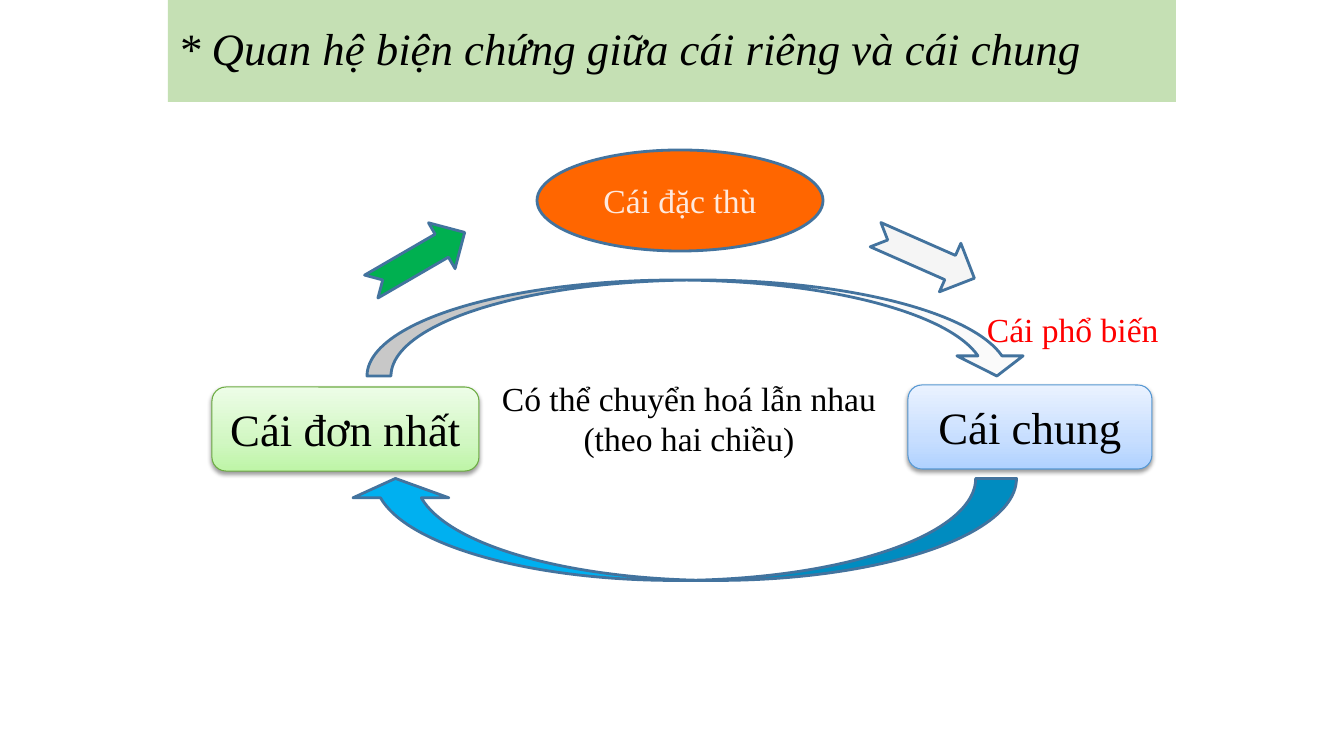
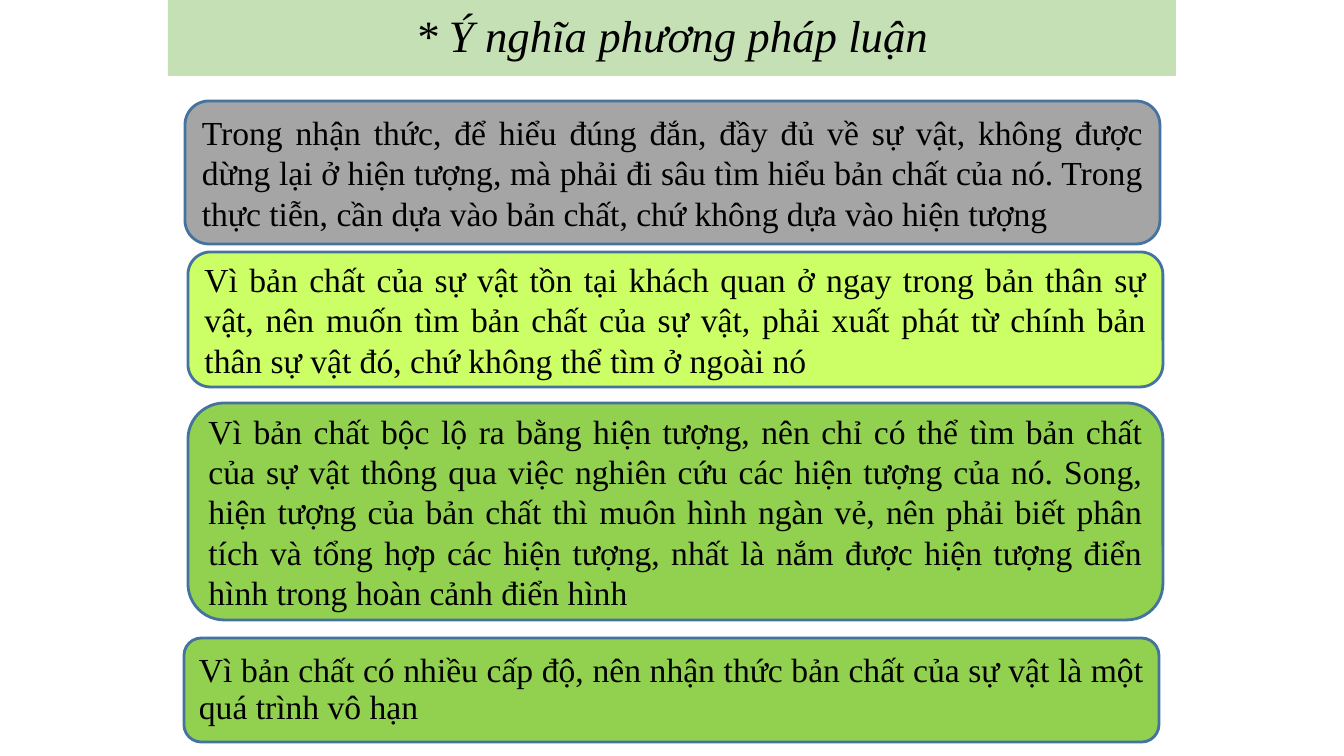
"""Build two slides on the dialectics of the particular and the general."""
from lxml import etree
from pptx import Presentation
from pptx import util as u
from pptx.dml.color import RGBColor
from pptx.enum import shapes, text
from pptx.oxml import ns

PX = 914400 / 100.8
FONT = "Times New Roman"
COLORS = {
    "black": "000000", "red": "FF0000", "band": "C5E0B4", "outline": "43739E",
    "orange": "FF6600", "cream": "FEE9DE", "white": "FAFAFA", "pale": "F5F5F5",
    "sky": "00B0F0", "green": "00B050", "grey": "A5A5A5", "lime": "CCFF66",
    "leaf": "92D050", "blue edge": "5698D3", "green edge": "6DAC43",
}
KIND = shapes.MSO_SHAPE
ALIGN = text.PP_ALIGN


def write(holder, content, size=24, color="black", italic=False, align=ALIGN.CENTER,
          anchor=text.MSO_ANCHOR.MIDDLE, wrap=True, fit=text.MSO_AUTO_SIZE.NONE, spacing=None):
    frame = holder.text_frame
    frame.text = content
    frame.word_wrap = wrap
    frame.auto_size = fit
    frame.vertical_anchor = anchor
    for paragraph in frame.paragraphs:
        paragraph.alignment = align
        paragraph.line_spacing = spacing
        paragraph.font.name = FONT
        paragraph.font.size = u.Pt(size)
        paragraph.font.italic = italic
        paragraph.font.color.rgb = RGBColor.from_string(COLORS[color])


def draw(slide, kind, box, fill, line="outline", weight=2, turn=0, adjust=()):
    shape = slide.shapes.add_shape(kind, *[round(v * PX) for v in box])
    shape.shadow.inherit = False
    shape.rotation = turn
    for i, value in enumerate(adjust):
        shape.adjustments[i] = value
    shape.fill.solid()
    shape.fill.fore_color.rgb = RGBColor.from_string(COLORS[fill])
    shape.line.color.rgb = RGBColor.from_string(COLORS[line])
    shape.line.width = u.Pt(weight)
    return shape


deck = Presentation()
deck.slide_width, deck.slide_height = round(1344 * PX), round(756 * PX)

slides = []
for heading, height, align in [
    ("* Quan hệ biện chứng giữa cái riêng và cái chung", 102, ALIGN.LEFT),
    ("* Ý nghĩa phương pháp luận", 76, ALIGN.CENTER),
]:
    slide = deck.slides.add_slide(deck.slide_layouts[5])
    title = slide.shapes.title
    title.left, title.top, title.width, title.height = [
        round(v * PX) for v in (168, 0, 1008, height)]
    title.fill.solid()
    title.fill.fore_color.rgb = RGBColor.from_string(COLORS["band"])
    write(title, heading, size=32, italic=True, align=align, spacing=0.9)
    slides.append(slide)
relation, meaning = slides

for concept, box, edge, stops in [
    ("Cái chung", (908, 385, 244, 84), "blue edge", ("B0D2FF", "C7DEFF", "EAF2FF")),
    ("Cái đơn nhất", (212, 387, 267, 84), "green edge", ("BEF5A7", "D1F7C2", "EDFDE7")),
]:
    pole = draw(relation, KIND.ROUNDED_RECTANGLE, box, "white", edge, 0.75)
    write(pole, concept, size=32)
    pole.fill.gradient()
    pole.fill.gradient_angle = 90
    properties = pole.element.spPr
    stop_list = properties.find(".//" + ns.qn("a:gsLst"))
    for old_stop in list(stop_list):
        stop_list.remove(old_stop)
    for position, tint in zip((0, 35000, 100000), stops):
        stop = etree.SubElement(stop_list, ns.qn("a:gs"), pos=str(position))
        etree.SubElement(stop, ns.qn("a:srgbClr"), val=tint)
    effects = properties.find(ns.qn("a:effectLst"))
    shadow = etree.SubElement(effects, ns.qn("a:outerShdw"), blurRad="40000",
                              dist="20000", dir="5400000", rotWithShape="0")
    shade = etree.SubElement(shadow, ns.qn("a:srgbClr"), val=COLORS["black"])
    etree.SubElement(shade, ns.qn("a:alpha"), val="38000")

draw(relation, KIND.CURVED_DOWN_ARROW, (367, 280, 663, 96), "white", adjust=(0.25, 0.69, 0.21))
draw(relation, KIND.CURVED_LEFT_ARROW, (631, 195, 102, 669), "sky", turn=90,
     adjust=(0.4, 0.94, 0.19))
special = draw(relation, KIND.OVAL, (537, 150, 286, 101), "orange")
write(special, "Cái đặc thù", color="cream")
for left, top, fill, turn in [(871, 230, "pale", 23.8), (364, 233, "green", 329.9)]:
    draw(relation, KIND.NOTCHED_RIGHT_ARROW, (left, top, 108, 53), fill, turn=turn)

for label, box, style in [
    ("Cái phổ biến", (977, 304, 202, 51),
     {"color": "red", "align": ALIGN.LEFT, "wrap": False}),
    ("Có thể chuyển hoá lẫn nhau\n(theo hai chiều)", (437, 373, 504, 92), {}),
]:
    caption = relation.shapes.add_textbox(*[round(v * PX) for v in box])
    write(caption, label, anchor=text.MSO_ANCHOR.TOP,
          fit=text.MSO_AUTO_SIZE.SHAPE_TO_FIT_TEXT, **style)

for lesson, left, top, height, fill, spacing in [
    ("Trong nhận thức, để hiểu đúng đắn, đầy đủ về sự vật, không được dừng lại ở hiện tượng, "
     "mà phải đi sâu tìm hiểu bản chất của nó. Trong thực tiễn, cần dựa vào bản chất, "
     "chứ không dựa vào hiện tượng", 185, 101, 143, "grey", None),
    ("Vì bản chất của sự vật tồn tại khách quan ở ngay trong bản thân sự vật, nên muốn tìm "
     "bản chất của sự vật, phải xuất phát từ chính bản thân sự vật đó, "
     "chứ không thể tìm ở ngoài nó", 188, 252, 135, "lime", None),
    ("Vì bản chất bộc lộ ra bằng hiện tượng, nên chỉ có thể tìm bản chất của sự vật thông qua "
     "việc nghiên cứu các hiện tượng của nó. Song, hiện tượng của bản chất thì muôn hình "
     "ngàn vẻ, nên phải biết phân tích và tổng hợp các hiện tượng, nhất là nắm được "
     "hiện tượng điển hình trong hoàn cảnh điển hình", 188, 403, 217, "leaf", None),
    ("Vì bản chất có nhiều cấp độ, nên nhận thức bản chất của sự vật là một quá trình vô hạn",
     184, 638, 104, "leaf", 0.9),
]:
    panel = draw(meaning, KIND.ROUNDED_RECTANGLE, (left, top, 975, height), fill)
    write(panel, lesson, align=ALIGN.JUSTIFY, spacing=spacing)

deck.save("out.pptx")
